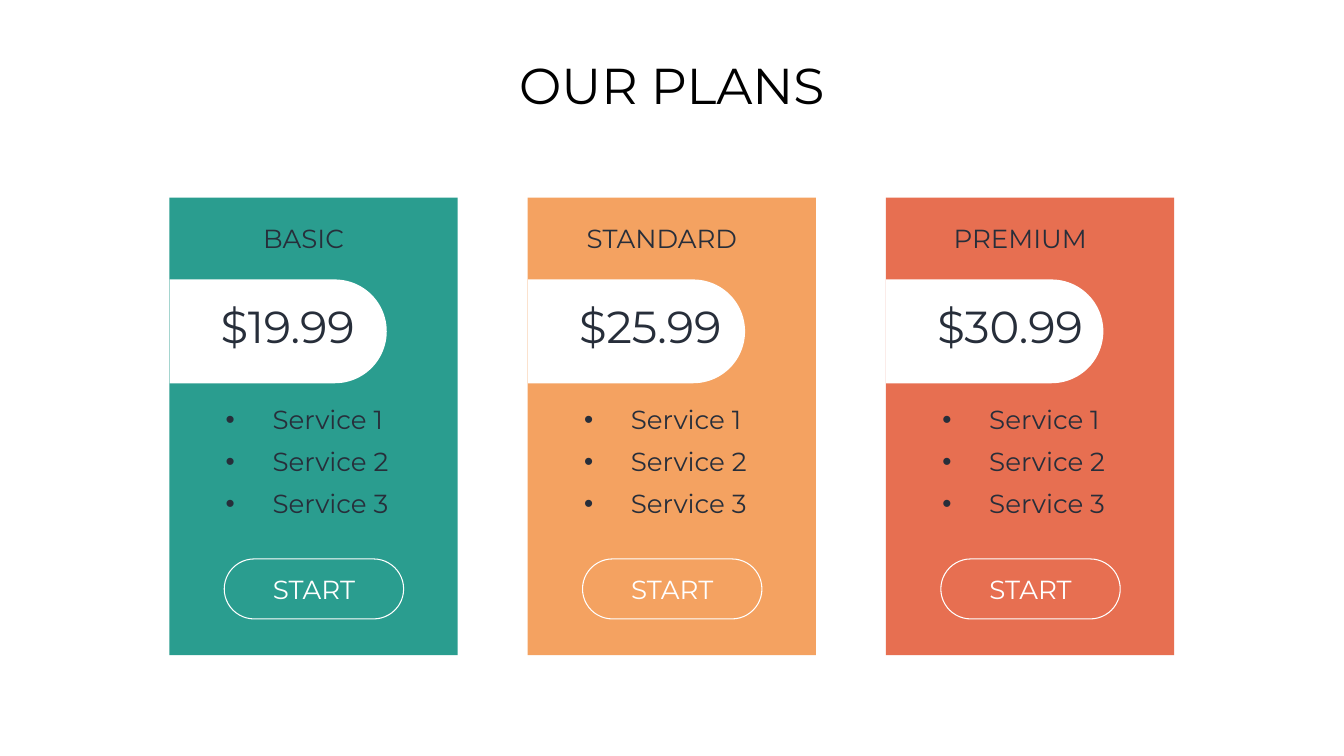
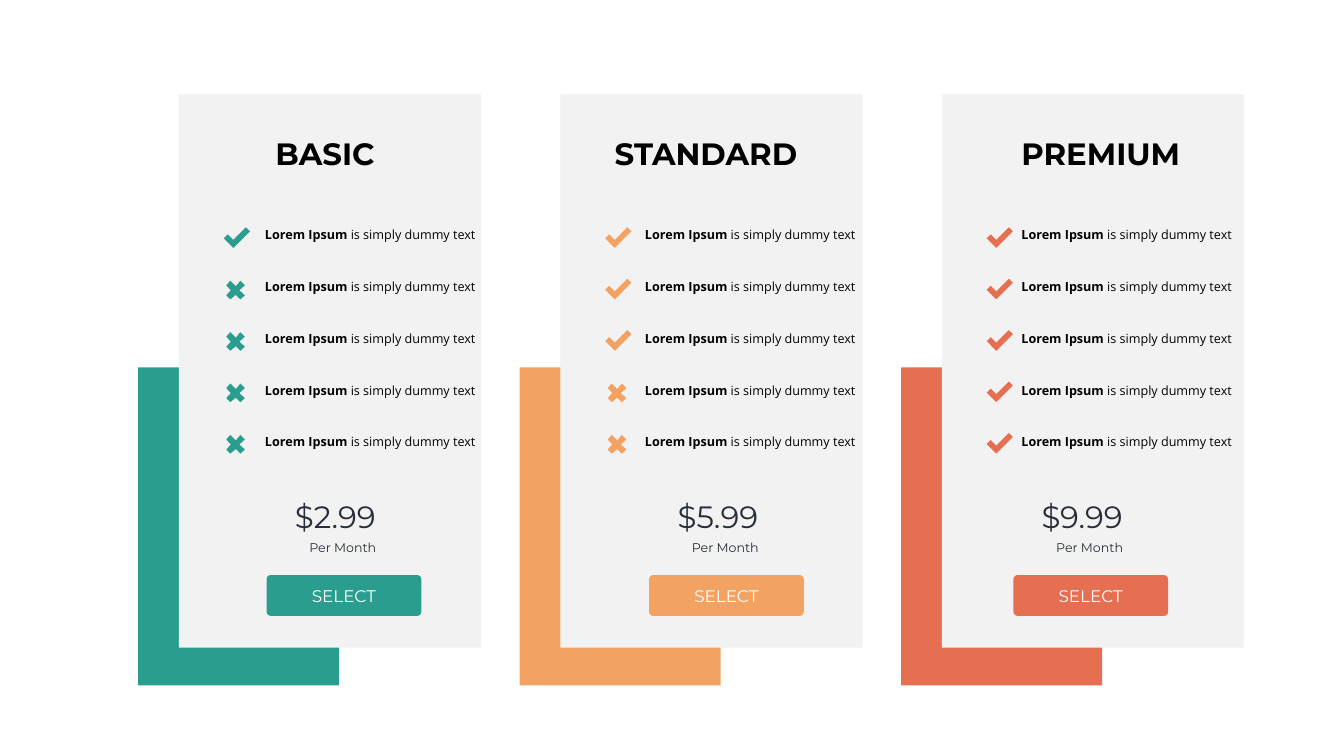
"""Build two pricing slides: three plan cards with services, then three feature comparison cards."""
import pptx
import pptx.util
import pptx.dml.color
import pptx.enum.shapes
import pptx.enum.text
import pptx.oxml

Inches = pptx.util.Inches
MSO = pptx.enum.shapes.MSO_SHAPE
ALIGN = pptx.enum.text.PP_ALIGN
LEFT, CENTER = ALIGN.LEFT, ALIGN.CENTER
COLORS = {
    "black": "000000",
    "white": "FFFFFF",
    "ink": "272E3A",
    "card": "F2F2F2",
    "BASIC": "2A9D8F",
    "STANDARD": "F4A261",
    "PREMIUM": "E76F51",
}
NS = "http://schemas.openxmlformats.org/drawingml/2006/main"
CHECK = [(0.19, 0.41), (0, 0.22), (0.08, 0.14), (0.19, 0.25), (0.44, 0), (0.52, 0.08)]
CROSS = [(0.42, 0.13), (0.33, 0.04), (0.24, 0.15), (0.13, 0.04), (0.05, 0.13), (0.14, 0.23),
         (0.05, 0.33), (0.13, 0.41), (0.24, 0.32), (0.33, 0.41), (0.42, 0.33), (0.31, 0.23)]


def add_block(s, kind, at, fill=None, line=None, adj=()):
    box = [Inches(v) for v in at]
    if kind is None:
        return s.shapes.add_textbox(*box)
    sp = s.shapes.add_shape(kind, *box)
    sp.shadow.inherit = False
    for i, value in enumerate(adj):
        sp.adjustments[i] = value
    if fill:
        sp.fill.solid()
        sp.fill.fore_color.rgb = pptx.dml.color.RGBColor.from_string(COLORS[fill])
    else:
        sp.fill.background()
    if line:
        sp.line.color.rgb = pptx.dml.color.RGBColor.from_string(COLORS[line])
        sp.line.width = pptx.util.Pt(1.5)
    else:
        sp.line.fill.background()
    return sp


def write(sp, text, size, color, align=LEFT, font="Montserrat", bold=False,
          tail="", inset=None, spacing=None, wrap=True, bullets=False):
    tf = sp.text_frame
    tf.text = text
    tf.word_wrap = wrap
    if inset:
        tf.margin_left = tf.margin_right = tf.margin_top = tf.margin_bottom = Inches(inset)
    else:
        tf.auto_size = pptx.enum.text.MSO_AUTO_SIZE.SHAPE_TO_FIT_TEXT
    for i, p in enumerate(tf.paragraphs):
        if bullets:
            pPr = p._p.get_or_add_pPr()
            pPr.set("marL", str(Inches(1.33)))
            pPr.set("indent", str(Inches(-0.93)))
            for xml in ('<a:buFont xmlns:a="%s" typeface="Arial"/>', '<a:buChar xmlns:a="%s" char="•"/>'):
                pPr.append(pptx.oxml.parse_xml(xml % NS))
            if i:
                p.space_before = pptx.util.Pt(20)
        p.alignment = align
        if spacing:
            p.line_spacing = spacing
        if tail:
            p.add_run().text = tail
        for j, r in enumerate(p.runs):
            r.font.name = font
            r.font.size = pptx.util.Pt(size)
            r.font.bold = bold and j == 0
            r.font.color.rgb = pptx.dml.color.RGBColor.from_string(COLORS[color])


prs = pptx.Presentation()
prs.slide_width = Inches(26.67)
prs.slide_height = Inches(15)
blank = prs.slide_layouts[6]

s = prs.slides.add_slide(blank)
write(add_block(s, None, (1.83, 0.8, 23, 1.82)), "OUR PLANS", 72, "black", CENTER, inset=0.27)

for i, (plan, price) in enumerate([("BASIC", "$19.99"), ("STANDARD", "$25.99"), ("PREMIUM", "$30.99")]):
    x = 3.36 + 7.11 * i
    add_block(s, MSO.RECTANGLE, (x, 3.92, 5.72, 9.08), plan)
    tab = add_block(s, MSO.ROUND_2_SAME_RECTANGLE, (x + 1.13, 4.42, 2.06, 4.31), "white", adj=(0.5, 0))
    tab.rotation = 90
    button = add_block(s, MSO.ROUNDED_RECTANGLE, (x + 1.09, 11.09, 3.56, 1.19), line="white", adj=(0.5,))
    write(button, "START", 37.3, "white", CENTER, inset=0.27)
    button.text_frame.vertical_anchor = pptx.enum.text.MSO_ANCHOR.MIDDLE
    write(add_block(s, None, (x + 0.45, 7.8, 4.56, 2.54)), "Service 1\nService 2\nService 3", 37.3, "ink",
          inset=0.27, spacing=0.9, bullets=True)
    write(add_block(s, None, (x + 0.8, 4.22, 3.73, 1.1)), plan, 37.3, "ink", CENTER, inset=0.27, spacing=0.9)
    write(add_block(s, None, (x + 0.75, 5.78, 3.73, 1.57)), price, 64, "ink", inset=0.27, spacing=0.9)

s = prs.slides.add_slide(blank)
plans = [
    ("BASIC", "$2.99", 1, (4.41, 4.08, CENTER), 5.16, 4.53),
    ("STANDARD", "$5.99", 3, (12.1, 3.9, LEFT), 12.7, 12.12),
    ("PREMIUM", "$9.99", 5, (20.17, 3.56, LEFT), 20.17, 19.35),
]
for i, (plan, price, included, heading, feature_x, price_x) in enumerate(plans):
    x = 3.55 + 7.57 * i
    add_block(s, MSO.RECTANGLE, (x - 0.81, 7.29, 3.99, 6.31), plan)
    add_block(s, MSO.RECTANGLE, (x, 1.87, 6, 10.98), "card")
    heading_x, heading_w, align = heading
    write(add_block(s, None, (heading_x, 2.63, heading_w, 0.84)), plan, 44, "black", align,
          bold=True, wrap=align == CENTER)

    for row in range(5):
        mark = CHECK if row < included else CROSS
        points = [(Inches(x + 0.89 + dx), Inches(4.51 + 1.02 * row + dy)) for dx, dy in mark]
        fb = s.shapes.build_freeform(*points[0])
        fb.add_line_segments(points[1:], close=True)
        sp = fb.convert_to_shape()
        sp.shadow.inherit = False
        sp.fill.solid()
        sp.fill.fore_color.rgb = pptx.dml.color.RGBColor.from_string(COLORS[plan])
        sp.line.fill.background()
        write(add_block(s, None, (feature_x, 4.45 + 1.03 * row, 4.42, 0.4)), "Lorem Ipsum", 18, "black",
              font="Open Sans", bold=True, tail=" is simply dummy text", wrap=False)

    add_block(s, MSO.ROUNDED_RECTANGLE, (price_x + 0.76, 11.41, 3.07, 0.81), plan, adj=(0.1,))
    write(add_block(s, None, (price_x, 9.82, 4.25, 0.84)), price, 44, "ink", CENTER)
    write(add_block(s, None, (price_x + 1.51, 10.66, 1.56, 0.4)), "Per Month", 18, "ink")
    write(add_block(s, None, (price_x + 1.56, 11.57, 1.56, 0.5)), "SELECT", 24, "white")

prs.save("out.pptx")
